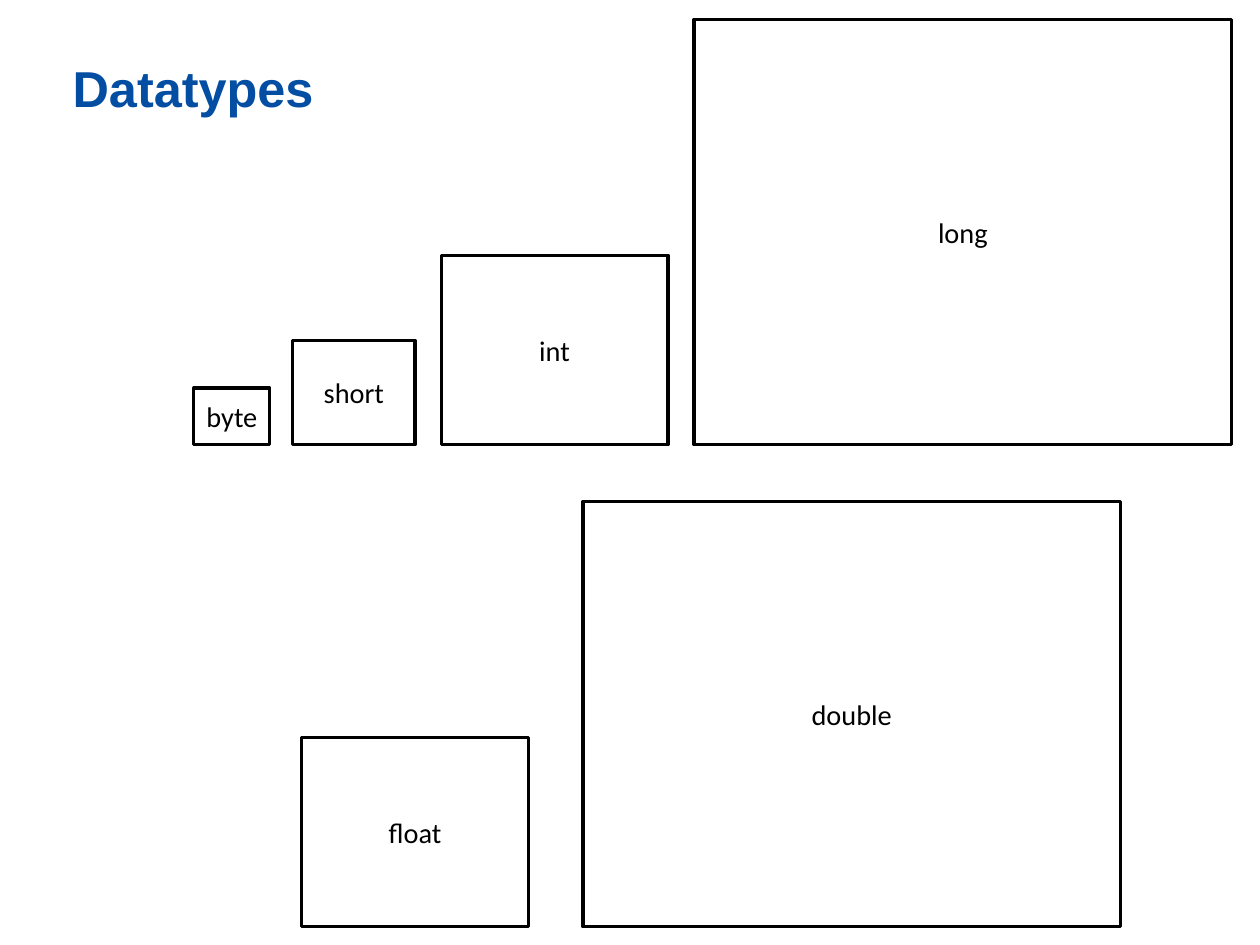
from dataclasses import dataclass

from pptx import Presentation
from pptx.dml.color import RGBColor
from pptx.enum.shapes import MSO_SHAPE
from pptx.enum.text import MSO_ANCHOR, MSO_AUTO_SIZE, PP_ALIGN
from pptx.slide import Slide
from pptx.text.text import Font
from pptx.util import Inches, Pt

RECTANGLE = MSO_SHAPE.RECTANGLE
TOP, MIDDLE = MSO_ANCHOR.TOP, MSO_ANCHOR.MIDDLE
LEFT, CENTER = PP_ALIGN.LEFT, PP_ALIGN.CENTER
NO_AUTOFIT = MSO_AUTO_SIZE.NONE

BLUE = RGBColor(0x03, 0x4E, 0xA2)
BLACK = RGBColor(0x00, 0x00, 0x00)
WHITE = RGBColor(0xFF, 0xFF, 0xFF)

TITLE_FONT = {"name": "Arial", "size": Pt(32), "bold": True}
LABEL_FONT = {"name": "Calibri", "size": Pt(18)}

INTEGER_BASELINE = 3.92
FLOATING_BASELINE = 8.17
SIZE_BY_BITS = {8: (0.67, 0.5), 16: (1.08, 0.92), 32: (2, 1.67), 64: (4.74, 3.75)}


@dataclass(frozen=True)
class Datatype:
    name: str
    bits: int
    left: float
    baseline: float


DATATYPES = [
    Datatype("byte", 8, 1.71, INTEGER_BASELINE),
    Datatype("short", 16, 2.58, INTEGER_BASELINE),
    Datatype("int", 32, 3.89, INTEGER_BASELINE),
    Datatype("long", 64, 6.12, INTEGER_BASELINE),
    Datatype("float", 32, 2.66, FLOATING_BASELINE),
    Datatype("double", 64, 5.14, FLOATING_BASELINE),
]


def format_font(font: Font, values: dict, color: RGBColor) -> None:
    for name, value in values.items():
        setattr(font, name, value)
    font.color.rgb = color


def set_title(slide: Slide, text: str) -> None:
    title = slide.shapes.title
    position = {"left": 0.64, "top": 0.46, "width": 9.5, "height": 0.5}
    for name, value in position.items():
        setattr(title, name, Inches(value))
    frame = title.text_frame
    frame_format = {
        "margin_left": 0, "margin_right": 0, "margin_bottom": 0,
        "margin_top": Inches(0.04), "vertical_anchor": TOP,
        "word_wrap": True, "auto_size": NO_AUTOFIT,
    }
    for name, value in frame_format.items():
        setattr(frame, name, value)
    paragraph = frame.paragraphs[0]
    paragraph.alignment = LEFT
    run = paragraph.add_run()
    run.text = text
    format_font(run.font, TITLE_FONT, BLUE)


def add_datatype(slide: Slide, datatype: Datatype) -> None:
    """Draw a box sized by bit width, standing on the row's baseline."""
    width, height = SIZE_BY_BITS[datatype.bits]
    shape = slide.shapes.add_shape(
        RECTANGLE, Inches(datatype.left), Inches(datatype.baseline - height),
        Inches(width), Inches(height))
    shape.shadow.inherit = False
    shape.fill.solid()
    shape.fill.fore_color.rgb = WHITE
    shape.line.color.rgb = BLACK
    shape.line.width = Pt(2)
    shape.text_frame.vertical_anchor = MIDDLE
    paragraph = shape.text_frame.paragraphs[0]
    paragraph.alignment = CENTER
    run = paragraph.add_run()
    run.text = datatype.name
    format_font(run.font, LABEL_FONT, BLACK)


def main() -> None:
    presentation = Presentation()
    presentation.slide_width = Inches(11.11)
    presentation.slide_height = Inches(8.33)
    title_only = presentation.slide_layouts.get_by_name("Title Only")
    slide = presentation.slides.add_slide(title_only)
    set_title(slide, "Datatypes")
    for datatype in DATATYPES:
        add_datatype(slide, datatype)
    presentation.save("out.pptx")


if __name__ == "__main__":
    main()
